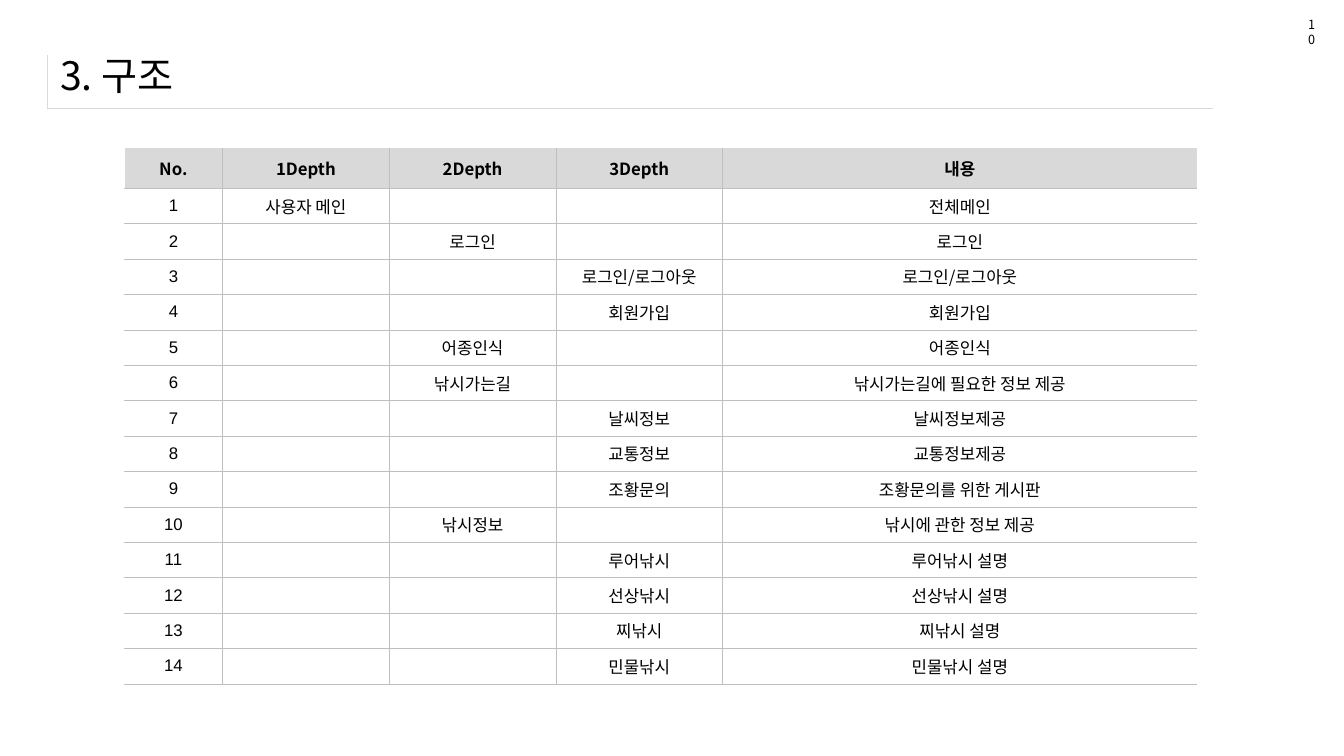
from lxml.etree import SubElement
from pptx import Presentation
from pptx.dml.color import RGBColor
from pptx.enum.text import MSO_ANCHOR as ANCHOR, PP_ALIGN as ALIGN
from pptx.oxml.ns import qn
from pptx.util import Cm, Pt

FONT = "Noto Sans CJK KR"
HEADINGS = ["No.", "1Depth", "2Depth", "3Depth", "내용"]
# (depth, menu name, description)
MENUS = [
    (1, "사용자 메인", "전체메인"),
    (2, "로그인", "로그인"),
    (3, "로그인/로그아웃", "로그인/로그아웃"),
    (3, "회원가입", "회원가입"),
    (2, "어종인식", "어종인식"),
    (2, "낚시가는길", "낚시가는길에 필요한 정보 제공"),
    (3, "날씨정보", "날씨정보제공"),
    (3, "교통정보", "교통정보제공"),
    (3, "조황문의", "조황문의를 위한 게시판"),
    (2, "낚시정보", "낚시에 관한 정보 제공"),
    (3, "루어낚시", "루어낚시 설명"),
    (3, "선상낚시", "선상낚시 설명"),
    (3, "찌낚시", "찌낚시 설명"),
    (3, "민물낚시", "민물낚시 설명"),
]


def rgb(hex_color):
    return RGBColor.from_string(hex_color)


def write(tf, text, size=12, font=FONT, bold=False, color="000000",
          align=ALIGN.LEFT):
    p = tf.paragraphs[0]
    p.alignment = align
    if not text:
        SubElement(p._p, qn("a:endParaRPr"), sz=str(size * 100))
        return
    r = p.add_run()
    r.text = text
    r.font.size, r.font.bold, r.font.name = Pt(size), bold, font
    r.font.color.rgb = rgb(color)
    SubElement(r.font._element, qn("a:ea"), typeface=FONT)


def set_borders(cell, **sides):
    """Draw the sides given as L, R, T or B=(colour, points); hide the rest."""
    tc_pr = cell._tc.get_or_add_tcPr()
    for side in "LRTB":
        color, width = sides.get(side) or (None, 0)
        ln = SubElement(tc_pr, qn(f"a:ln{side}"), w=str(Pt(width)))
        if color:
            fill = SubElement(ln, qn("a:solidFill"))
            SubElement(fill, qn("a:srgbClr"), val=color)
        else:
            SubElement(ln, qn("a:noFill"))


class StructureSlide:
    header_fill = "D9D9D9"
    title_line = ("D9D9D9", 0.25)
    grid_line = ("BFBFBF", 0.25)
    outer_line = ("FFFFFF", 1)

    def __init__(self, prs):
        self.s = prs.slides.add_slide(prs.slide_layouts[6])

    def text(self, x, y, w, h, text, anchor=ANCHOR.TOP, **fmt):
        tf = self.s.shapes.add_textbox(Cm(x), Cm(y), Cm(w), Cm(h)).text_frame
        tf.word_wrap = True
        tf.vertical_anchor = anchor
        write(tf, text, **fmt)

    def table(self, x, y, widths, heights):
        """Add a plain table without banding or header style."""
        table = self.s.shapes.add_table(
            len(heights), len(widths), Cm(x), Cm(y),
            Cm(sum(widths)), Cm(sum(heights))).table
        table.first_row = table.horz_banding = False
        for col, width in zip(table.columns, widths):
            col.width = Cm(width)
        for row, height in zip(table.rows, heights):
            row.height = Cm(height)
        return table

    def title_frame(self, x, y, w, h):
        cell = self.table(x, y, [w], [h]).cell(0, 0)
        set_borders(cell, L=self.title_line, B=self.title_line)
        cell.fill.background()

    def menu_table(self, x, y, widths, heights, rows):
        table = self.table(x, y, widths, heights)
        last = len(widths) - 1
        for i, row in enumerate(rows):
            for j, text in enumerate(row):
                cell = table.cell(i, j)
                header = i == 0
                set_borders(cell,
                            L=self.grid_line if j else self.outer_line,
                            R=self.grid_line if j < last else None,
                            T=None if header else self.grid_line,
                            B=self.grid_line)
                if header:
                    cell.fill.solid()
                    cell.fill.fore_color.rgb = rgb(self.header_fill)
                else:
                    cell.fill.background()
                cell.vertical_anchor = ANCHOR.MIDDLE
                number = j == 0 and not header
                write(cell.text_frame, text, bold=header, align=ALIGN.CENTER,
                      font="Arial" if number else FONT)


def menu_rows():
    """Place each menu name in the column of its depth."""
    rows = [HEADINGS]
    for number, (depth, name, description) in enumerate(MENUS, 1):
        names = [name if depth == d else "" for d in (1, 2, 3)]
        rows.append([str(number), *names, description])
    return rows


def main():
    prs = Presentation()
    prs.slide_width, prs.slide_height = Cm(33.87), Cm(19.05)
    slide = StructureSlide(prs)
    slide.title_frame(1.2, 1.38, 29.36, 1.35)
    slide.text(1.27, 1.04, 31.72, 1.7, "3. 구조", size=28,
               anchor=ANCHOR.MIDDLE)
    slide.text(32.72, 0.3, 0.69, 0.64, "10", size=9)
    header_height, table_height = 1, 13.49
    row_height = (table_height - header_height) / len(MENUS)
    slide.menu_table(3.13, 3.74, [2.48, 4.2, 4.2, 4.2, 11.96],
                     [header_height] + [row_height] * len(MENUS), menu_rows())
    prs.save("out.pptx")


if __name__ == "__main__":
    main()
